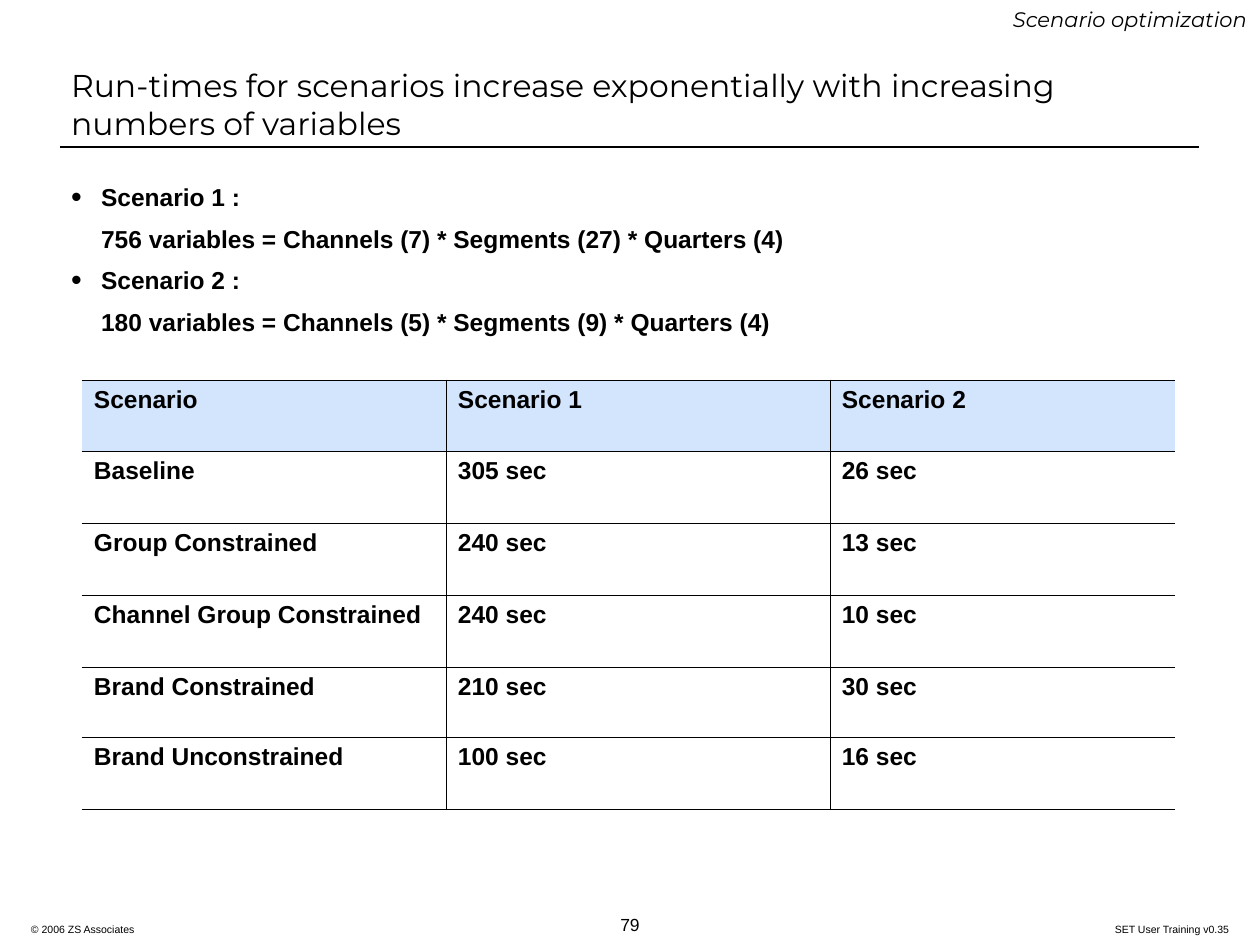
from lxml.etree import SubElement
from pptx import Presentation
from pptx.dml.color import RGBColor
from pptx.enum.shapes import MSO_CONNECTOR
from pptx.enum.text import MSO_ANCHOR, MSO_AUTO_SIZE, PP_ALIGN
from pptx.oxml import parse_xml
from pptx.oxml.ns import nsdecls, qn
from pptx.util import Pt

SCALE = 914400 / 126
BLACK = "000000"
HEADER_FILL = "D3E4FD"


def px(*lengths):
    emu = [round(length * SCALE) for length in lengths]
    return emu if len(emu) > 1 else emu[0]


def style(paragraph, size, face="Arial", bold=False, italic=False, align=PP_ALIGN.LEFT):
    font = paragraph.font
    font.size, font.name, font.bold, font.italic = Pt(size), face, bold, italic
    font.color.rgb = RGBColor.from_string(BLACK)
    paragraph.alignment = align


prs = Presentation()
prs.slide_width, prs.slide_height = px(1260, 945)
slide = prs.slides.add_slide(prs.slide_layouts[1])
title, body = slide.placeholders

rule = slide.shapes.add_connector(MSO_CONNECTOR.STRAIGHT, *px(60, 147, 1199, 147))
rule.line.color.rgb = RGBColor.from_string(BLACK)
rule.line.width = Pt(1)
SubElement(rule._element.spPr, qn("a:effectLst"))

title.left, title.top, title.width, title.height = px(60, 29, 1140, 118)
heading = title.text_frame
heading.text = "Run-times for scenarios increase exponentially with increasing numbers of variables"
heading.vertical_anchor = MSO_ANCHOR.BOTTOM
heading.margin_left = heading.margin_right = px(11)
heading.margin_top = heading.margin_bottom = px(5)
heading.auto_size = MSO_AUTO_SIZE.NONE
style(heading.paragraphs[0], 18, "Montserrat")

body.left, body.top, body.width, body.height = px(60, 176, 1068, 168)
scenarios = body.text_frame
scenarios.text = "\n".join([
    "Scenario 1 :",
    "756 variables = Channels (7) * Segments (27) * Quarters (4)",
    "Scenario 2 :",
    "180 variables = Channels (5) * Segments (9) * Quarters (4)",
])
scenarios.margin_left = scenarios.margin_right = px(11)
scenarios.margin_top = scenarios.margin_bottom = px(6)
scenarios.auto_size = MSO_AUTO_SIZE.NONE
for index, line in enumerate(scenarios.paragraphs):
    line.space_before = Pt(7 if index else 0)
    props = line._p.get_or_add_pPr()
    props.set("marL", str(px(30)))
    if index % 2 == 0:
        props.set("indent", str(px(-30)))
        bullet_color = SubElement(props, qn("a:buClr"))
        SubElement(bullet_color, qn("a:srgbClr"), val=BLACK)
        SubElement(props, qn("a:buSzPct"), val="125000")
        SubElement(props, qn("a:buFont"), typeface="Arial")
        SubElement(props, qn("a:buChar"), char="•")
    else:
        props.set("indent", "0")
        SubElement(props, qn("a:buNone"))
    style(line, 14, bold=True)

run_times = [
    ("Scenario", "Scenario 1", "Scenario 2"),
    ("Baseline", "305 sec", "26 sec"),
    ("Group Constrained", "240 sec", "13 sec"),
    ("Channel Group Constrained", "240 sec", "10 sec"),
    ("Brand Constrained", "210 sec", "30 sec"),
    ("Brand Unconstrained", "100 sec", "16 sec"),
]
column_widths = [364, 384, 345]
row_heights = [71, 72, 72, 72, 70, 72]
table = slide.shapes.add_table(
    len(run_times), len(column_widths),
    *px(82, 380, sum(column_widths), sum(row_heights)),
).table
table.first_row = table.horz_banding = False
for column, width in zip(table.columns, column_widths):
    column.width = px(width)
for row, height in zip(table.rows, row_heights):
    row.height = px(height)

for r, values in enumerate(run_times):
    for c, value in enumerate(values):
        cell = table.cell(r, c)
        cell.text = value
        cell.margin_left = cell.margin_right = px(12)
        cell.margin_top = cell.margin_bottom = px(6)
        style(cell.text_frame.paragraphs[0], 14, bold=True)
        visible = {"L": c > 0, "R": c < len(values) - 1, "T": True, "B": True}
        cell_props = cell._tc.get_or_add_tcPr()
        for side, shown in visible.items():
            paint = f'<a:solidFill><a:srgbClr val="{BLACK}"/></a:solidFill>' if shown else "<a:noFill/>"
            cell_props.append(parse_xml(
                f'<a:ln{side} {nsdecls("a")} w="{Pt(0.45)}">{paint}</a:ln{side}>'))
        if r == 0:
            cell.fill.solid()
            cell.fill.fore_color.rgb = RGBColor.from_string(HEADER_FILL)
        else:
            cell.fill.background()

labels = [
    ("Scenario optimization", (977, 0, 283, 38), (13, 6), 1,
     dict(size=12, face="Montserrat", italic=True, align=PP_ALIGN.RIGHT)),
    ("© 2006 ZS Associates", (31, 917, 300, 18), (0, 0), 0.8, dict(size=6)),
    ("79", (567, 916, 126, 19), (0, 0), 1, dict(size=10, align=PP_ALIGN.CENTER)),
    ("SET User Training v0.35", (929, 917, 300, 18), (0, 0), 0.8,
     dict(size=6, align=PP_ALIGN.RIGHT)),
]
for wording, place, (side_margin, end_margin), spacing, look in labels:
    frame = slide.shapes.add_textbox(*px(*place)).text_frame
    frame.word_wrap = True
    frame.vertical_anchor = MSO_ANCHOR.BOTTOM
    frame.margin_left = frame.margin_right = px(side_margin)
    frame.margin_top = frame.margin_bottom = px(end_margin)
    frame.text = wording
    frame.paragraphs[0].line_spacing = spacing
    style(frame.paragraphs[0], **look)

prs.save("out.pptx")
